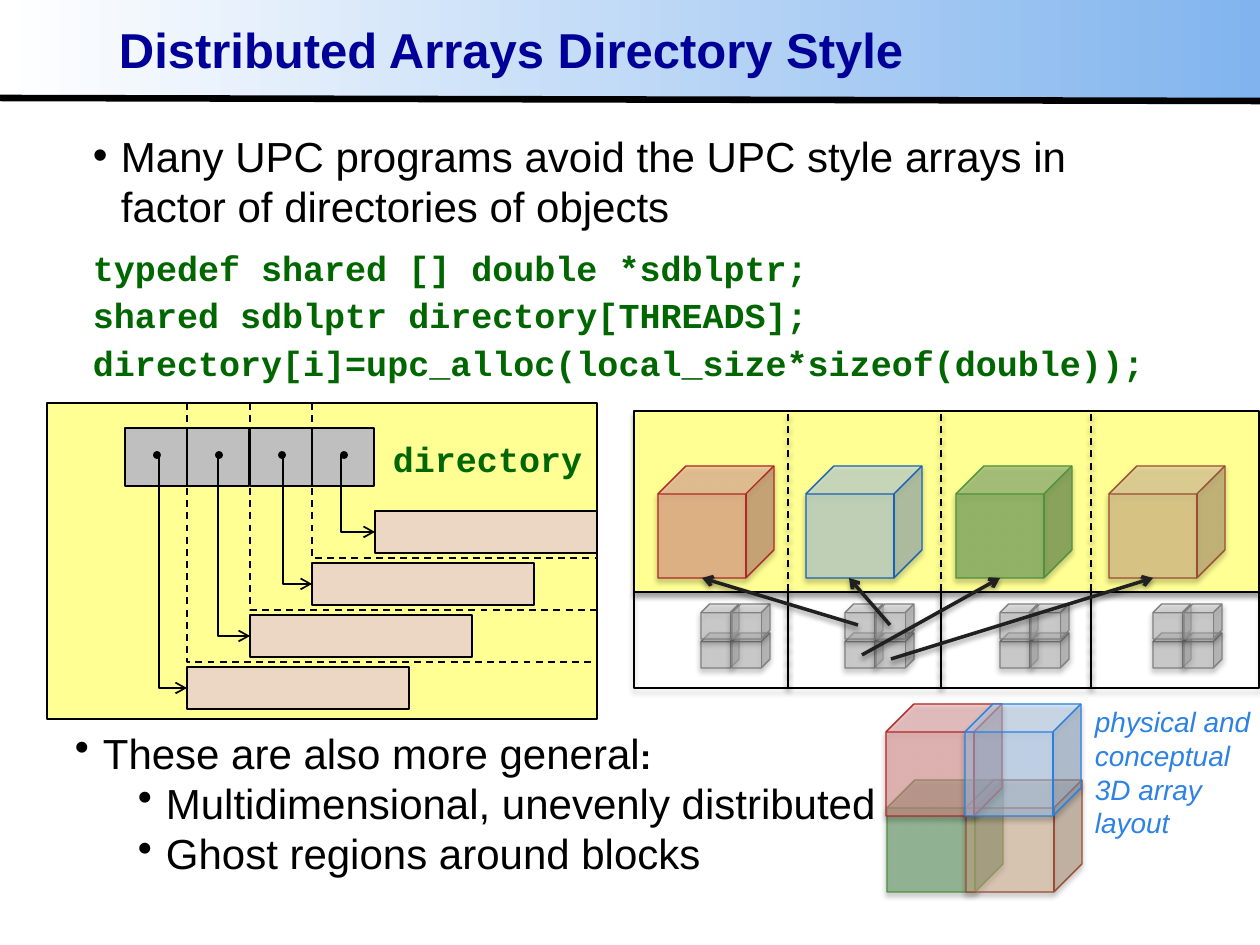
from lxml.etree import SubElement as Sub
from pptx import Presentation
from pptx.dml.color import RGBColor as RGB
from pptx.enum.dml import MSO_LINE as DASH
from pptx.enum.shapes import MSO_CONNECTOR as LINK, MSO_SHAPE as KIND
from pptx.enum.text import MSO_ANCHOR as ANCHOR, MSO_AUTO_SIZE as AUTO, PP_ALIGN as ALIGN
from pptx.oxml.ns import qn
from pptx.util import Emu, Pt

UNIT = 914400 / 126
HEX = {
    "black": "000000", "white": "FFFFFF", "sky": "81B4EE", "navy": "000099",
    "code": "006600", "yellow": "FFFF93", "cell": "BFBFBF", "bar": "EBD7C3",
    "gray": "808080", "arrow": "202020", "note": "2D82E3",
    "green": "529354", "moss": "4F913C", "tan": "DAB590", "brown": "984D35",
    "pink": "E7908E", "red": "AE2825", "ice": "ABCDF4", "blue": "287FE2", "deep": "1861B4",
}


def px(num):
    """Turn pixels into EMU."""
    return Emu(round(num * UNIT))


def tint(name):
    """Return the named colour."""
    return RGB.from_string(HEX[name])


def shade(item, alpha):
    """Give a shape or connector a soft shadow, or none when alpha is 0."""
    props = item.element.spPr
    fx = props.find(qn("a:effectLst"))
    if fx is None:
        fx = Sub(props, qn("a:effectLst"))
    if alpha:
        drop = Sub(fx, qn("a:outerShdw"), blurRad="39370", dist="22860",
                   dir="5400000", rotWithShape="0")
        color = Sub(drop, qn("a:srgbClr"), val=HEX["black"])
        Sub(color, qn("a:alpha"), val=str(alpha * 1000))


def block(slide, kind, box, fill, line="black", width=1, alpha=0, clear=False):
    """Draw a preset shape."""
    shape = slide.shapes.add_shape(kind, *map(px, box))
    shape.shadow.inherit = False
    shade(shape, alpha)
    if fill:
        shape.fill.solid()
        shape.fill.fore_color.rgb = tint(fill)
    else:
        shape.fill.background()
    if clear:
        color = shape.element.spPr.find(qn("a:solidFill")).find(qn("a:srgbClr"))
        Sub(color, qn("a:alpha"), val="50000")
    shape.line.color.rgb = tint(line)
    shape.line.width = Pt(width)
    return shape


def cube(slide, left, top, fill, line, size=(116, 112)):
    """Draw a half-clear cube."""
    block(slide, KIND.CUBE, (left, top, *size), fill, line, 0.75, 35, True)


def wire(slide, ends, color="black", width=1, alpha=0, dash=False, head=False, bent=False):
    """Draw a straight line, or an elbow that goes down and then right."""
    link = slide.shapes.add_connector(LINK.ELBOW if bent else LINK.STRAIGHT, *map(px, ends))
    link.line.color.rgb = tint(color)
    link.line.width = Pt(width)
    if dash:
        link.line.dash_style = DASH.DASH
    props = link.element.spPr
    if head:
        Sub(props.find(qn("a:ln")), qn("a:tailEnd"), type="arrow")
    if bent:
        form = props.find(qn("a:prstGeom"))
        Sub(form.find(qn("a:avLst")), qn("a:gd"), name="adj1", fmla="val 0")
    shade(link, alpha)


def place(shape, box, inset=(9, 4), wrap=True, anchor=ANCHOR.TOP):
    """Set the position and frame of a text shape."""
    shape.left, shape.top, shape.width, shape.height = map(px, box)
    frame = shape.text_frame
    frame.word_wrap = wrap
    frame.auto_size = AUTO.NONE
    frame.vertical_anchor = anchor
    frame.margin_left = frame.margin_right = px(inset[0])
    frame.margin_top = frame.margin_bottom = px(inset[1])
    return frame


def para(frame, runs, first=False, left=0, hang=0, mark=None, level=0, before=0, after=0):
    """Add a paragraph with its runs."""
    item = frame.paragraphs[0] if first else frame.add_paragraph()
    item.level = level
    item.alignment = ALIGN.LEFT
    props = item._p.get_or_add_pPr()
    props.set("marL", str(px(left)))
    props.set("indent", str(px(-hang)))
    if mark:
        Sub(props, qn("a:buChar"), char=mark)
    else:
        Sub(props, qn("a:buNone"))
    item.space_before, item.space_after = Pt(before), Pt(after)
    for text, size, font, color, bold, slant in runs:
        run = item.add_run()
        run.text = text
        run.font.size, run.font.name = Pt(size), font
        run.font.bold, run.font.italic = bold, slant
        run.font.color.rgb = tint(color)
    return item


def plain(text, size=24, color="black", bold=False, slant=False):
    """Describe a run of Arial."""
    return text, size, "Arial", color, bold, slant


def code(text):
    """Describe a run of code."""
    return text, 20, "Courier New", "code", True, False


def note(slide, box, **frame):
    """Add a text box."""
    return place(slide.shapes.add_textbox(0, 0, 0, 0), box, **frame)


def top(slide):
    """Draw the header band, its rule and the title."""
    band = block(slide, KIND.RECTANGLE, (0, 0, 1260, 101), "sky")
    band.line.fill.background()
    band.fill.gradient()
    band.fill.gradient_angle = 180
    for stop, name in zip(band.fill.gradient_stops, ("sky", "white")):
        stop.color.rgb = tint(name)
    wire(slide, (0, 98, 1260, 101), width=3.75)
    title = slide.shapes.title
    slide.shapes._spTree.append(title.element)
    frame = place(title, (110, 24, 1076, 58), anchor=ANCHOR.MIDDLE)
    para(frame, [plain("Distributed Arrays Directory Style", 28, "navy", True)],
         True).line_spacing = 0.87


def lists(slide):
    """Fill the body and the closing list."""
    body = slide.placeholders[1]
    slide.shapes._spTree.append(body.element)
    frame = place(body, (84, 126, 1103, 266))
    para(frame, [plain("Many UPC programs avoid the UPC style arrays in factor of directories of objects")],
         True, 28, 28, "•", after=6)
    for text in ("typedef shared [] double *sdblptr;", "shared sdblptr directory[THREADS];",
                 "directory[i]=upc_alloc(local_size*sizeof(double));"):
        para(frame, [code(text)], left=28, hang=28, before=3)
    frame = note(slide, (66, 723, 833, 160))
    para(frame, [plain("These are also more general"), plain(":", 20, bold=True)], True, 28, 28, "•")
    for text in ("Multidimensional, unevenly distributed", "Ghost regions around blocks"):
        para(frame, [plain(text)], left=91, hang=28, mark="•", level=1)


def table(slide):
    """Draw the directory with its pointers and blocks."""
    block(slide, KIND.RECTANGLE, (47, 403, 550, 316), "yellow")
    edges = [125 + 125 * i // 2 for i in range(5)]
    for left in edges[:4]:
        block(slide, KIND.RECTANGLE, (left, 428, 62, 58), "cell")
        block(slide, KIND.OVAL, (left + 29, 452, 6, 6), "black")
    para(note(slide, (380, 431, 217, 55), inset=(13, 6), wrap=False), [code("directory")], True)
    for i, start in enumerate((159, 218, 283, 341)):
        left, head = edges[i + 1], 667 - 52 * i
        block(slide, KIND.RECTANGLE, (left, head, 222, 42), "bar")
        wire(slide, (start, 455, left, head + 21), head=True, bent=True)
        if i < 3:
            wire(slide, (left, 403, 597, head - 5), dash=True, bent=True)


def layout(slide):
    """Draw the physical and conceptual layout of the 3D array."""
    block(slide, KIND.RECTANGLE, (634, 411, 625, 181), "yellow", width=0.75, alpha=35)
    for left in (701, 845, 1000, 1153):
        for y in (633, 604):
            for x in (left, left + 31):
                cube(slide, x, y, "cell", "gray", (38, 35))
    for left, head, fill, line in (
            (887, 780, "green", "moss"), (966, 780, "tan", "brown"),
            (886, 704, "pink", "red"), (965, 704, "ice", "blue"),
            (956, 466, "green", "moss"), (1109, 466, "tan", "brown"),
            (658, 466, "pink", "red"), (806, 466, "ice", "deep")):
        cube(slide, left, head, fill, line)
    block(slide, KIND.RECTANGLE, (634, 592, 625, 96), None, width=0.75, alpha=35)
    for x in (788, 941, 1091):
        wire(slide, (x, 414, x, 688), alpha=38, dash=True)
        wire(slide, (x, 593, x, 688), alpha=38)
    for ends in ((858, 625, 702, 578), (890, 625, 849, 578),
                 (862, 655, 1000, 578), (891, 659, 1153, 578)):
        wire(slide, ends, "arrow", 2, 38, head=True)
    para(note(slide, (1082, 699, 186, 149), inset=(13, 6)),
         [plain("physical and conceptual 3D array layout", 16, "note", slant=True)], True)


def main():
    """Build and save the slide."""
    deck = Presentation()
    deck.slide_width, deck.slide_height = px(1260), px(945)
    slide = deck.slides.add_slide(deck.slide_layouts[1])
    top(slide)
    table(slide)
    lists(slide)
    layout(slide)
    deck.save("out.pptx")


if __name__ == "__main__":
    main()
